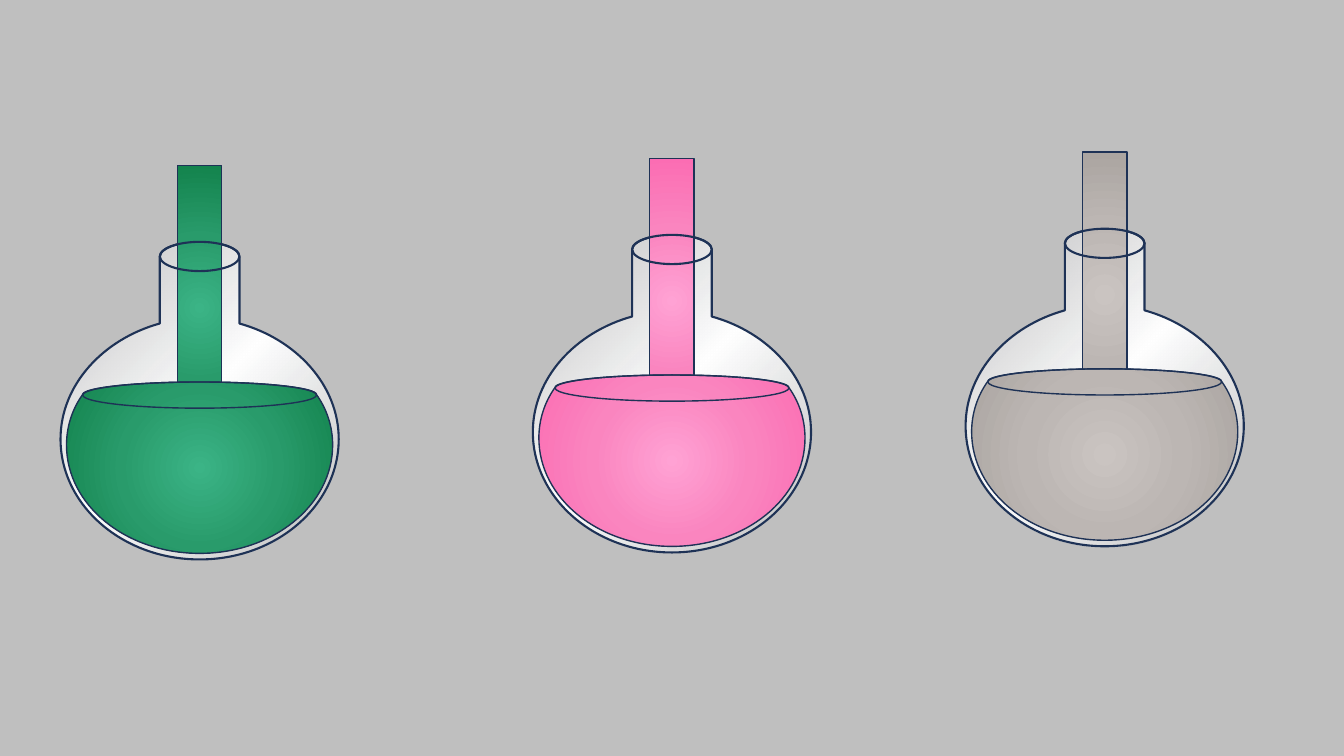
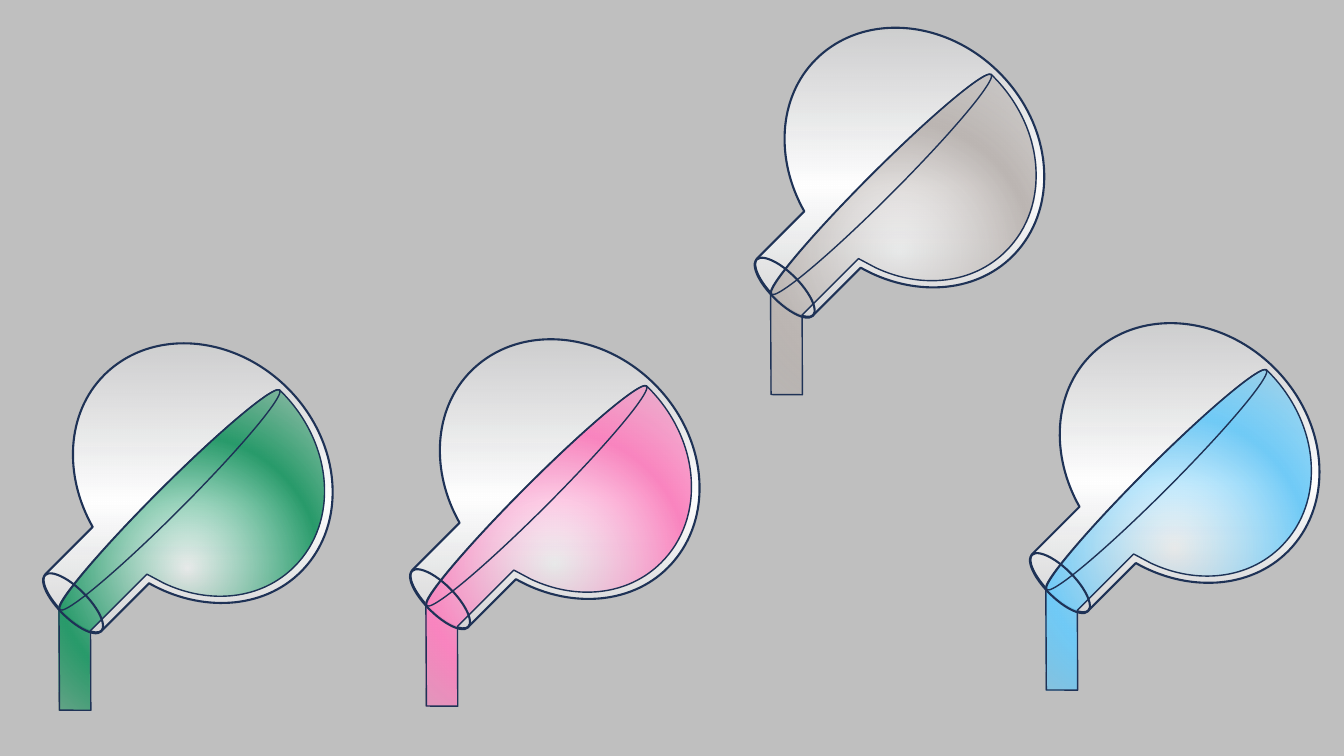
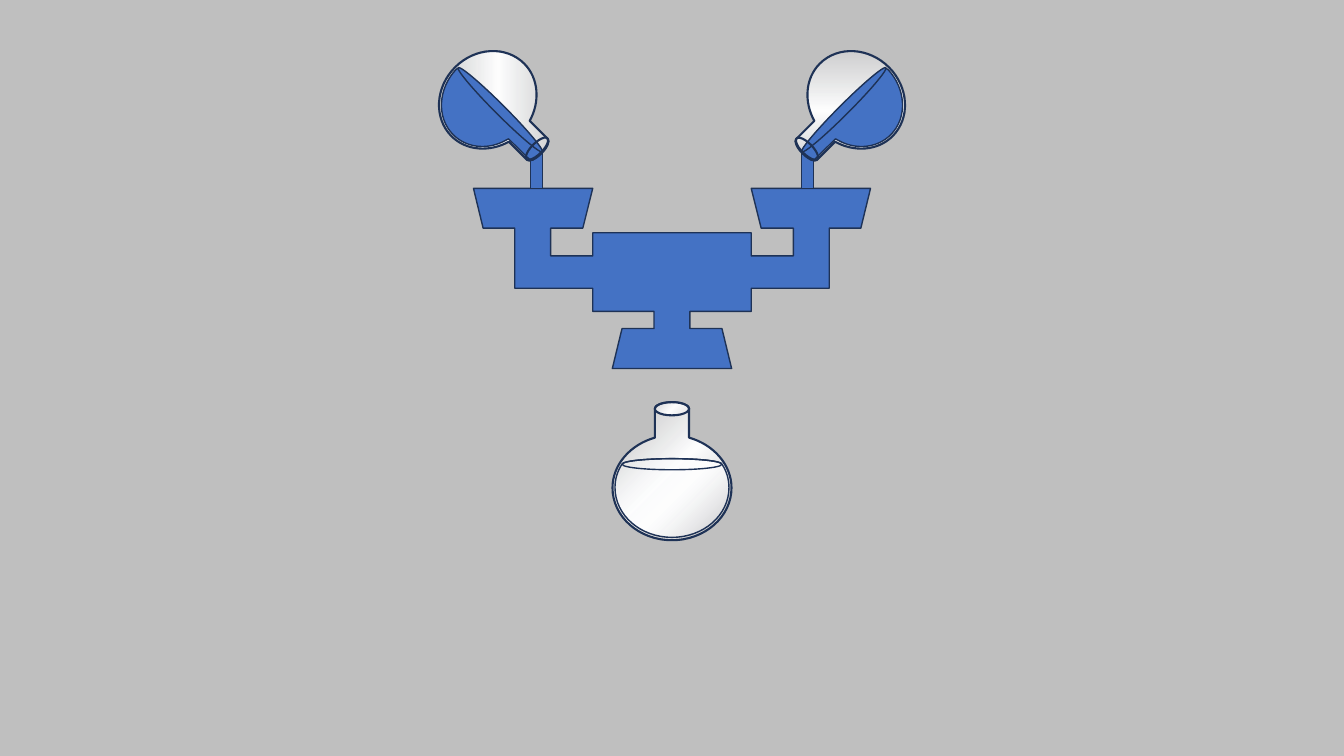
"""Draw three slides of laboratory flasks: standing, pouring and feeding a mixer."""
from dataclasses import dataclass
from typing import Optional, Union

from pptx import Presentation
from pptx import oxml, util as u
from pptx.dml.color import RGBColor
from pptx.enum import shapes
from pptx.oxml.ns import nsdecls, qn

Step = tuple[float, ...]
Outline = tuple[Step, ...]


@dataclass(frozen=True)
class Paint:
    stops: tuple[str, str, str]
    radial: bool = True
    faded: bool = False


Fill = Optional[Union[str, Paint]]


@dataclass(frozen=True)
class Theme:
    background: str = "BFBFBF"
    ink: str = "1E3256"
    blue: str = "4472C4"
    thin: float = 1
    thick: float = 1.5
    glass: Paint = Paint(("F6F8FC", "FFFFFF", "F6F8FC"), radial=False, faded=True)
    green: tuple[str, str, str] = ("3BB486", "299B6B", "13834D")
    pink: tuple[str, str, str] = ("FFA2D4", "FA85BF", "FB6DB3")
    gray: tuple[str, str, str] = ("CAC4C1", "BCB6B3", "ABA5A1")
    sky: tuple[str, str, str] = ("8FDBFF", "71CBF7", "41BDF6")


THEME = Theme()
OVAL, RECT = shapes.MSO_SHAPE.OVAL, shapes.MSO_SHAPE.RECTANGLE
SLIDE_W, SLIDE_H = 960, 540


@dataclass(frozen=True)
class Part:
    form: Union[Outline, shapes.MSO_SHAPE]
    dx: float
    dy: float
    w: float
    h: float
    fill: Fill = None
    line: float = THEME.thin
    tilts: bool = True


def points(step: Step) -> list[Step]:
    """Split a line (x, y) or curve (x1, y1, x2, y2, x, y) into its points."""
    return list(zip(step[::2], step[1::2]))


def flip(outline: Outline) -> Outline:
    """Mirror an outline about the vertical axis."""
    return tuple(tuple(v if i % 2 else -v for i, v in enumerate(step)) for step in outline)


def symmetric(*half: Step) -> Outline:
    """Complete a right half, drawn from top to bottom, with its mirror image."""
    back = []
    for before, step in zip(half[-2::-1], half[:0:-1]):
        route = points(step)[-2::-1] + [before[-2:]]
        back.append(tuple(v for point in route for v in point))
    return half + flip(tuple(back))


GLASS = symmetric(
    (0, 0), (15.8, 0, 28.5, 4.7, 28.5, 10.5), (28.5, 58.3),
    (69, 69.5, 99.4, 102.2, 99.4, 140.8), (99.4, 188.3, 54.9, 226.8, 0, 226.8))
LEVEL_LIQUID = symmetric(
    (0, 0), (46, 0, 83.5, 4, 83.5, 9), (91, 19.5, 95, 32, 95, 45),
    (95, 88, 52.6, 122.4, 0, 122.4))
POURED_LIQUID = (
    (44, 135.7), (43, 136.6), (40, 136.6), (-11.5, 136.2, -53.3, 100, -53.3, 54.7),
    (-53.3, 21, -29.8, -7.4, 3.8, -19.6), (17, -23.7), (17, -80.7),
    (-23.2, -120.9), (-7.4, -136.7), (43.6, -85.8), (44.6, -84.7),
    (49, -79.2, 52.7, -31.8, 52.7, 25.2), (52.7, 83.2, 48.6, 130.1, 44, 135.7))
TILTED_LIQUID = (
    (15.1, -42.5), (16, -42.5), (18.1, -42.5, 19.6, -23.7, 19.6, -0.3),
    (19.6, 23.2, 18.1, 42, 16, 42), (14.5, 42.5), (-4.3, 42, -20, 28.2, -20, 11),
    (-20, -1.8, -11.4, -13, 1.3, -17.6), (5.8, -19), (6, -40), (7.4, -42),
    (9.4, -42, 12, -42.5, 15.1, -42.5))
MIXER = symmetric(
    (0, 31.7), (56.6, 31.7), (56.6, 48.2), (86.7, 48.2), (86.7, 28.4), (63.7, 28.4),
    (56.6, 0), (141.8, 0), (134.9, 28.4), (112.3, 28.4), (112.3, 71.3), (56.6, 71.3),
    (56.6, 87.8), (12.8, 87.8), (12.8, 100.1), (35.7, 100.1), (42.6, 128.6),
    (0, 128.6))


def standing_flask(liquid: Paint) -> list[Part]:
    """List the parts of an upright flask being filled."""
    return [
        Part(GLASS, 0, 0, 198.7, 226.8, THEME.glass, THEME.thick),
        Part(RECT, 0, -66.2, 31.7, 203.8, liquid),
        Part(OVAL, 0, -103, 56.9, 20.9, None, THEME.thick),
        Part(LEVEL_LIQUID, 0, 47.9, 190.1, 122.4, liquid),
        Part(OVAL, 0, -4, 167, 18.7),
    ]


def pouring_flask(liquid: Paint) -> list[Part]:
    """List the parts of a large tilted flask."""
    return [
        Part(GLASS, 0, 0, 198.7, 226.8, THEME.glass, THEME.thick),
        Part(POURED_LIQUID, 8.6, 48.2, 106.6, 272.9, liquid),
        Part(OVAL, -4, -0.4, 19.4, 221.8),
        Part(OVAL, -73.1, 73.4, 56.9, 20.9, None, THEME.thick),
    ]


FEEDER = [
    Part(RECT, -27.4, 42.5, 8.6, 26.6, THEME.blue, tilts=False),
    Part(GLASS, 0, 0, 73.4, 87.1, THEME.glass, THEME.thick),
    Part(TILTED_LIQUID, 10.4, 11.2, 39.6, 85, THEME.blue),
    Part(OVAL, -1.4, -0.4, 7.2, 85, THEME.blue),
    Part(OVAL, -27.7, 27.4, 20.9, 7.9, None, THEME.thick),
]
RECEIVER = [
    Part(GLASS, 0, 0, 85, 98.6, THEME.glass, THEME.thick),
    Part(OVAL, 0, -44.6, 24.5, 9.4, THEME.glass, THEME.thick),
    Part(LEVEL_LIQUID, 0, 19.1, 81.4, 56.2, THEME.glass),
    Part(OVAL, 0, -5, 71.3, 7.9),
]


def paint_gradient(sp, paint: Paint) -> None:
    """Give a shape a three-stop gradient, clear at both ends if faded."""
    stops = ""
    for pos, color in zip((0, 50000, 100000), paint.stops):
        alpha = '<a:alpha val="0"/>' if paint.faded and pos != 50000 else ""
        stops += f'<a:gs pos="{pos}"><a:srgbClr val="{color}">{alpha}</a:srgbClr></a:gs>'
    course = ('<a:path path="circle"><a:fillToRect l="50000" t="50000" r="50000" b="50000"/>'
              '</a:path>' if paint.radial else '<a:lin ang="2700000" scaled="0"/>')
    grad = oxml.parse_xml(f'<a:gradFill {nsdecls("a")} rotWithShape="1">'
                          f'<a:gsLst>{stops}</a:gsLst>{course}</a:gradFill>')
    sp.fill.background()
    props = sp._element.spPr
    props.replace(props.find(qn("a:noFill")), grad)


def draw_outline(slide, outline: Outline):
    """Build a freeform, turning each three-point step into a cubic curve."""
    pts = [(u.Pt(x), u.Pt(y)) for step in outline for x, y in points(step)]
    builder = slide.shapes.build_freeform(*pts[0])
    builder.add_line_segments(pts[1:], close=True)
    sp = builder.convert_to_shape()
    segments = iter(sp._element.spPr.findall(f".//{qn('a:lnTo')}"))
    for step in outline[1:]:
        first, *rest = [next(segments) for _ in points(step)]
        if rest:
            curve = oxml.parse_xml(f'<a:cubicBezTo {nsdecls("a")}/>')
            first.addprevious(curve)
            for segment in (first, *rest):
                curve.append(segment[0])
                segment.getparent().remove(segment)
    return sp


def draw_part(slide, part: Part, cx: float, cy: float,
              rotation: float = 0, mirrored: bool = False):
    """Draw one part around a flask centre and return its shape."""
    x = cx + (-part.dx if mirrored else part.dx)
    frame = [u.Pt(v) for v in (x - part.w / 2, cy + part.dy - part.h / 2, part.w, part.h)]
    if isinstance(part.form, shapes.MSO_SHAPE):
        sp = slide.shapes.add_shape(part.form, *frame)
    else:
        sp = draw_outline(slide, flip(part.form) if mirrored else part.form)
        sp.left, sp.top, sp.width, sp.height = frame
    if part.tilts:
        sp.rotation = 360 - rotation if mirrored else rotation
    sp.shadow.inherit = False
    if part.fill is None:
        sp.fill.background()
    elif isinstance(part.fill, Paint):
        paint_gradient(sp, part.fill)
    else:
        sp.fill.solid()
        sp.fill.fore_color.rgb = RGBColor.from_string(part.fill)
    sp.line.color.rgb = RGBColor.from_string(THEME.ink)
    sp.line.width = u.Pt(part.line)
    return sp


def draw_flask(slide, parts: list[Part], cx: float, cy: float,
               rotation: float = 0, mirrored: bool = False) -> None:
    """Draw all parts of a flask as one group."""
    slide.shapes.add_group_shape(
        [draw_part(slide, part, cx, cy, rotation, mirrored) for part in parts])


def main() -> None:
    """Build and save the presentation."""
    prs = Presentation()
    prs.slide_width, prs.slide_height = u.Pt(SLIDE_W), u.Pt(SLIDE_H)
    backdrop = prs.slide_master.background.fill
    backdrop.solid()
    backdrop.fore_color.rgb = RGBColor.from_string(THEME.background)
    blank = prs.slide_layouts[6]
    standing, pouring, mixing = (prs.slides.add_slide(blank) for _ in range(3))

    for stops, cx, cy in ((THEME.pink, 480, 281.2), (THEME.green, 142.6, 286.2),
                          (THEME.gray, 789.1, 276.8)):
        draw_flask(standing, standing_flask(Paint(stops)), cx, cy)

    for stops, cx, cy in ((THEME.green, 125.3, 357.5), (THEME.pink, 387.4, 354.6),
                          (THEME.sky, 830.2, 343.1), (THEME.gray, 633.6, 132.1)):
        draw_flask(pouring, pouring_flask(Paint(stops, faded=True)), cx, cy, 225)

    middle = SLIDE_W / 2
    draw_part(mixing, Part(MIXER, 0, 0, 283.6, 128.6, THEME.blue), middle, 198.9)
    for side in (1, -1):
        draw_flask(mixing, FEEDER, middle + side * 124.1, 78.8, 225, mirrored=side < 0)
    draw_flask(mixing, RECEIVER, middle, 336.6)

    prs.save("out.pptx")


if __name__ == "__main__":
    main()
